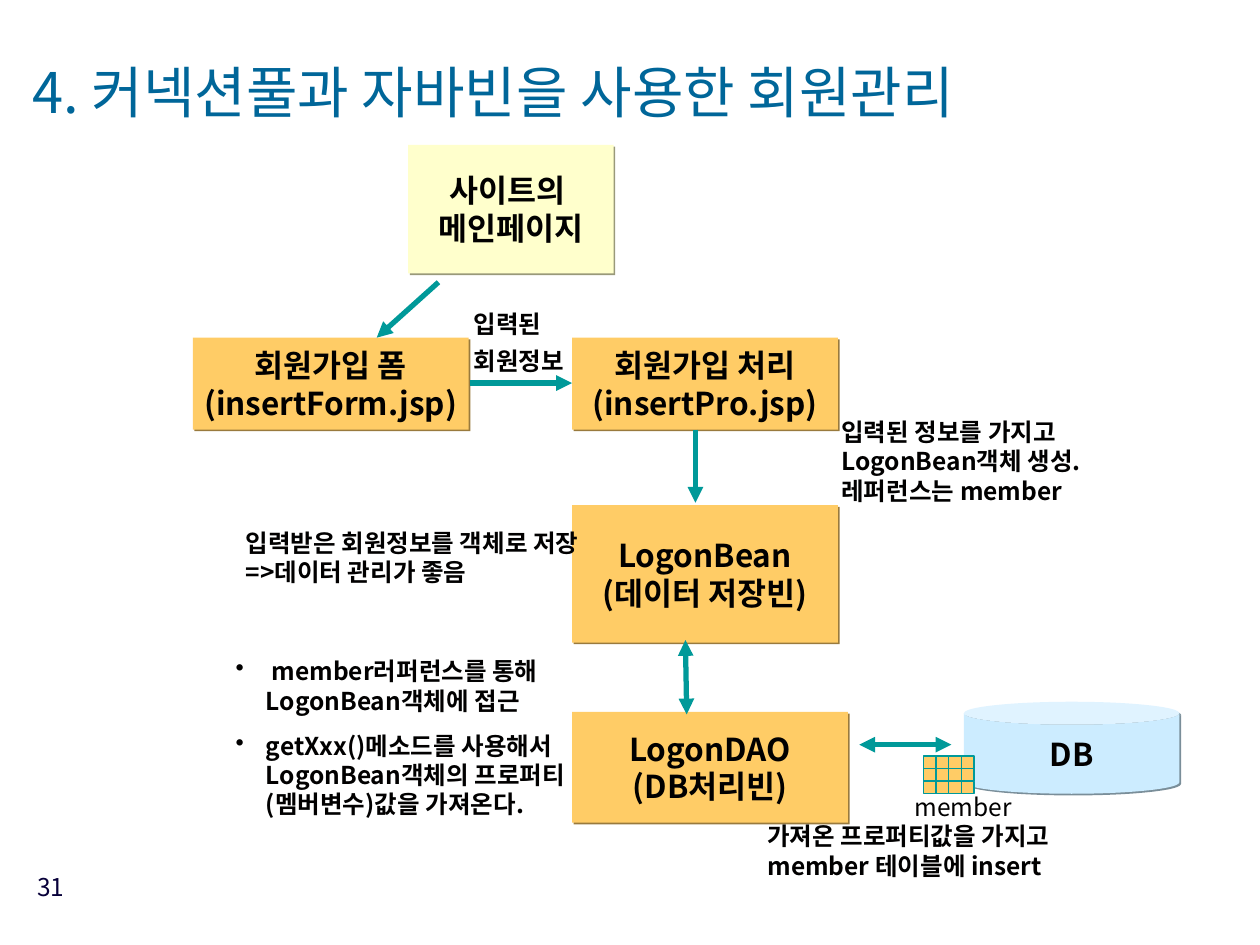
from lxml.etree import SubElement
from pptx import Presentation
from pptx.dml.color import RGBColor
from pptx.enum.shapes import MSO_CONNECTOR, MSO_SHAPE
from pptx.enum.text import MSO_ANCHOR, PP_ALIGN
from pptx.oxml.ns import qn
from pptx.util import Inches, Pt

FONT = "Noto Sans CJK KR"
LINE_HEIGHT = 1.2
COLORS = {
    "text": "010000",
    "title": "006699",
    "number": "08003A",
    "arrow": "009999",
    "page": "FFFFCC",
    "page_shadow": "99997A",
    "step": "FFCC66",
    "step_shadow": "997A3D",
    "database": "CCECFF",
    "database_shadow": "7A8E99",
}


def color(name):
    return RGBColor.from_string(COLORS[name])


def write_text(shape, text, size=14, bold=True, ink="text", align=PP_ALIGN.LEFT,
               anchor=MSO_ANCHOR.TOP, wrap=True, side=0.1, spacing=1.0,
               gap=0, bullet=False):
    """Each line of text becomes a paragraph; gap is the space between them."""
    frame = shape.text_frame
    frame.word_wrap = wrap
    frame.vertical_anchor = anchor
    frame.margin_left = frame.margin_right = Inches(side)
    frame.margin_top = frame.margin_bottom = Inches(0.05)
    for index, line in enumerate(text.split("\n")):
        paragraph = frame.add_paragraph() if index else frame.paragraphs[0]
        paragraph.alignment = align
        paragraph.line_spacing = Pt(round(size * LINE_HEIGHT * spacing, 1))
        if index and gap:
            paragraph.space_before = Pt(gap)
        if bullet:
            add_bullet(paragraph)
        run = paragraph.add_run()
        run.text = line
        run.font.size = Pt(size)
        run.font.bold = bold
        run.font.color.rgb = color(ink)
        run.font.name = FONT
        SubElement(run._r.get_or_add_rPr(), qn("a:ea"), typeface=FONT)


def add_bullet(paragraph):
    properties = paragraph._p.get_or_add_pPr()
    properties.set("marL", str(Inches(0.24)))
    properties.set("indent", str(-Inches(0.24)))
    bullet_color = SubElement(properties, qn("a:buClr"))
    SubElement(bullet_color, qn("a:srgbClr"), val=COLORS["text"])
    SubElement(properties, qn("a:buChar"), char="•")


def add_label(slide, box, text, **text_format):
    label = slide.shapes.add_textbox(*map(Inches, box))
    write_text(label, text, **text_format)


def add_plain_shape(slide, kind, box, fill):
    shape = slide.shapes.add_shape(kind, *map(Inches, box))
    shape.shadow.inherit = False
    shape.fill.solid()
    shape.fill.fore_color.rgb = color(fill)
    shape.line.fill.background()
    return shape


def add_node(slide, box, text, fill="step", kind=MSO_SHAPE.RECTANGLE):
    """A captioned flow shape with a hard shadow to the lower right."""
    node = add_plain_shape(slide, kind, box, fill)
    effects = node._element.spPr.find(qn("a:effectLst"))
    shadow = SubElement(effects, qn("a:outerShdw"), blurRad="0", dist=str(Pt(1.4)),
                        dir="2700000", algn="ctr", rotWithShape="0")
    SubElement(shadow, qn("a:srgbClr"), val=COLORS[fill + "_shadow"])
    write_text(node, text, size=18, align=PP_ALIGN.CENTER,
               anchor=MSO_ANCHOR.MIDDLE, wrap=False)


def add_arrow(slide, start, end, both_ends=False):
    arrow = slide.shapes.add_connector(MSO_CONNECTOR.STRAIGHT,
                                       *map(Inches, (*start, *end)))
    arrow.line.color.rgb = color("arrow")
    arrow.line.width = Pt(3)
    properties = arrow._element.spPr
    line = properties.find(qn("a:ln"))
    if both_ends:
        SubElement(line, qn("a:headEnd"), type="triangle")
    SubElement(line, qn("a:tailEnd"), type="triangle")
    SubElement(properties, qn("a:effectLst"))


def add_member_table_icon(slide, left, top, rows=3, columns=4, cell=0.1):
    for row in range(rows):
        for column in range(columns):
            box = (left + column * cell, top + row * cell, cell, cell)
            square = add_plain_shape(slide, MSO_SHAPE.RECTANGLE, box, "step")
            square.line.color.rgb = color("arrow")
            square.line.width = Pt(0.75)


def add_heading(slide):
    add_label(slide, (0.14, 6.87, 0.47, 0.52), "31", bold=False, ink="number",
              align=PP_ALIGN.RIGHT)
    add_label(slide, (0.16, 0.21, 8.94, 1.18),
              "4. 커넥션풀과 자바빈을 사용한 회원관리", size=32, bold=False,
              ink="title", anchor=MSO_ANCHOR.MIDDLE, spacing=0.7)


def add_flow(slide):
    add_node(slide, (3.24, 1.15, 1.63, 1.02), "사이트의 \n메인페이지", fill="page")
    add_node(slide, (1.53, 2.68, 2.19, 0.73), "회원가입 폼\n(insertForm.jsp)")
    add_node(slide, (4.54, 2.68, 2.11, 0.73), "회원가입 처리\n(insertPro.jsp)")
    add_node(slide, (4.54, 4.01, 2.11, 1.09), "LogonBean\n(데이터 저장빈)")
    add_node(slide, (4.54, 5.65, 2.19, 0.88), "LogonDAO\n(DB처리빈)")
    add_node(slide, (7.65, 5.57, 1.71, 0.73), "DB", fill="database",
             kind=MSO_SHAPE.CAN)
    add_member_table_icon(slide, 7.33, 6)

    add_arrow(slide, (3.48, 2.24), (2.99, 2.68))
    add_arrow(slide, (3.73, 3.04), (4.54, 3.04))
    add_arrow(slide, (5.52, 3.41), (5.52, 3.99))
    add_arrow(slide, (5.45, 5.67), (5.44, 5.08), both_ends=True)
    add_arrow(slide, (6.82, 5.91), (7.55, 5.91), both_ends=True)


def add_comments(slide):
    add_label(slide, (3.66, 2.46, 1.14, 0.57), "입력된\n회원정보", spacing=0.75, gap=8.8)
    add_label(slide, (6.58, 3.26, 2.27, 0.8),
              "입력된 정보를 가지고 LogonBean객체 생성. 레퍼런스는 member")
    add_label(slide, (1.95, 4.14, 2.68, 0.57),
              "입력받은 회원정보를 객체로 저장 =>데이터 관리가 좋음", side=0)
    add_label(slide, (1.87, 5.16, 2.68, 1.39),
              " member러퍼런스를 통해 LogonBean객체에 접근\n"
              "getXxx()메소드를 사용해서 LogonBean객체의 프로퍼티(멤버변수)값을 가져온다.",
              side=0, gap=8.8, bullet=True)
    add_label(slide, (7.16, 6.24, 1.06, 0.34), "member", bold=False)
    add_label(slide, (6.09, 6.47, 2.68, 0.57),
              "가져온 프로퍼티값을 가지고 member 테이블에 insert", side=0)


def main():
    presentation = Presentation()
    presentation.slide_width = Inches(10)
    presentation.slide_height = Inches(7.5)
    slide = presentation.slides.add_slide(presentation.slide_layouts[6])
    add_heading(slide)
    add_flow(slide)
    add_comments(slide)
    presentation.save("out.pptx")


if __name__ == "__main__":
    main()
